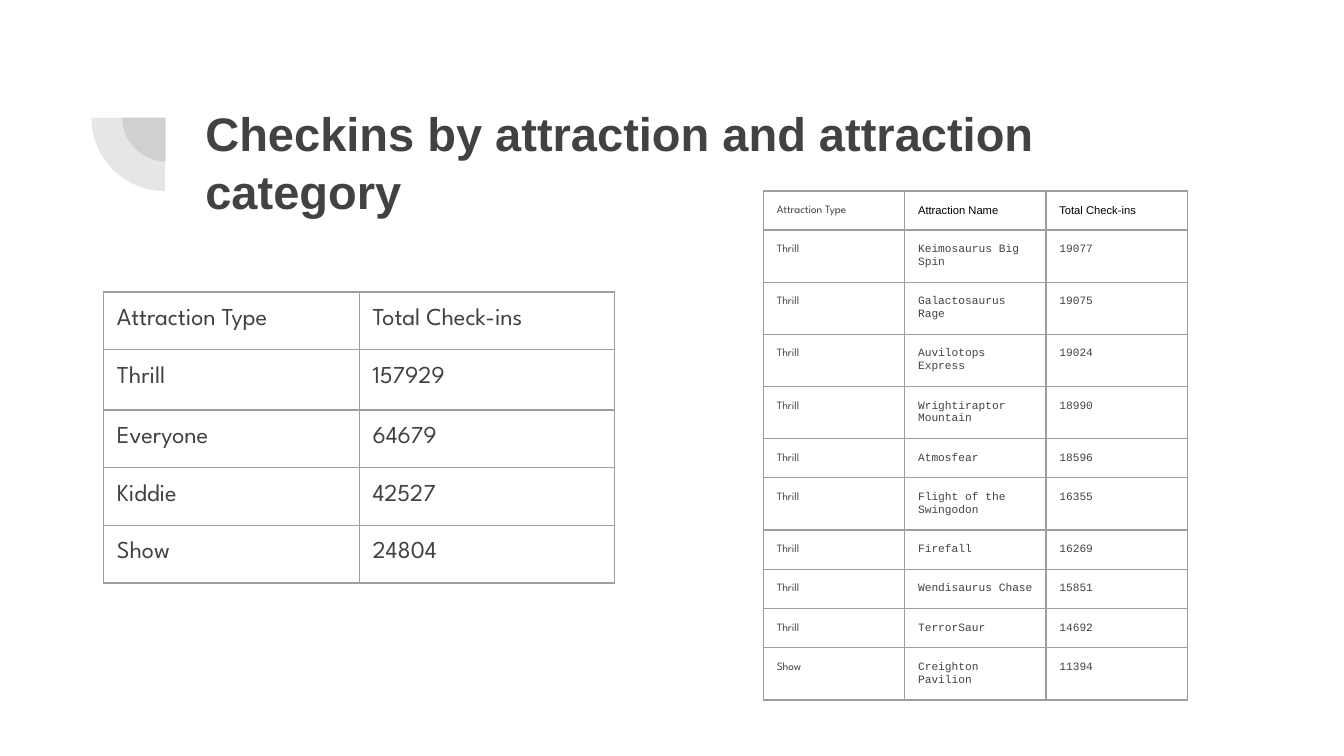
"""Build the slide of check-ins by attraction and attraction category."""
from lxml import etree
from pptx import Presentation
from pptx.dml.color import RGBColor
from pptx.enum.shapes import MSO_SHAPE as Shape
from pptx.enum.text import MSO_ANCHOR as Anchor, PP_ALIGN as Align
from pptx.oxml import parse_xml
from pptx.oxml.ns import nsdecls, qn
from pptx.util import Cm, Pt

GREY = RGBColor(0x42, 0x42, 0x42)
BLACK = RGBColor(0, 0, 0)
BORDER = RGBColor(0x9E, 0x9E, 0x9E)
INSET = Cm(0.25)

TITLE = "Checkins by attraction and attraction category"
PIES = [(2.31, 1.40, 1.65), (1.73, 0.84, 2.77)]

CATEGORIES = [
    ("Attraction Type", "Total Check-ins"),
    ("Thrill", "157929"),
    ("Everyone", "64679"),
    ("Kiddie", "42527"),
    ("Show", "24804"),
]
ATTRACTIONS = [
    ("Attraction Type", "Attraction Name", "Total Check-ins"),
    ("Thrill", "Keimosaurus Big Spin", "19077"),
    ("Thrill", "Galactosaurus Rage", "19075"),
    ("Thrill", "Auvilotops Express", "19024"),
    ("Thrill", "Wrightiraptor Mountain", "18990"),
    ("Thrill", "Atmosfear", "18596"),
    ("Thrill", "Flight of the Swingodon", "16355"),
    ("Thrill", "Firefall", "16269"),
    ("Thrill", "Wendisaurus Chase", "15851"),
    ("Thrill", "TerrorSaur", "14692"),
    ("Show", "Creighton Pavilion", "11394"),
]

SPACED = {"line_spacing": 1.15, "space_after": Pt(12)}
SPARTAN = ("League Spartan", GREY, SPACED)
COURIER = ("Courier New", GREY, {})
ARIAL = ("Arial", BLACK, {})


def category_style(row, column):
    return SPARTAN


def attraction_style(row, column):
    if column == 0:
        return SPARTAN
    return COURIER if row else ARIAL


TABLES = [
    {"content": CATEGORIES, "left": 1.96, "top": 5.52, "column": 4.83,
     "heights": [1.09, 1.14, 1.09, 1.09, 1.09], "size": 13, "style": category_style},
    {"content": ATTRACTIONS, "left": 14.43, "top": 3.61, "column": 2.67,
     "heights": [0.69, 0.86, 0.66, 0.66, 0.86, 0.66, 0.86] + [0.66] * 4,
     "size": 6, "style": attraction_style},
]


def assign(target, values):
    for name, value in values.items():
        setattr(target, name, value)


def set_borders(cell):
    properties = cell._tc.get_or_add_tcPr()
    for side in ("lnL", "lnR", "lnT", "lnB"):
        properties.append(parse_xml(
            f'<a:{side} {nsdecls("a")} w="{Pt(0.75)}"><a:solidFill>'
            f'<a:srgbClr val="{BORDER}"/></a:solidFill></a:{side}>'))


def add_pie(slide, left, top, size):
    pie = slide.shapes.add_shape(Shape.PIE, Cm(left), Cm(top), Cm(size), Cm(size))
    pie.adjustments[0], pie.adjustments[1] = 107.93, 162
    pie.rotation = 270
    pie.shadow.inherit = False
    pie.line.fill.background()
    pie.fill.solid()
    pie.fill.fore_color.rgb = GREY
    color = pie._element.spPr.find(qn("a:solidFill"))[0]
    etree.SubElement(color, qn("a:alpha")).set("val", "13000")
    slide.shapes.title._element.addprevious(pie._element)


def format_title(title):
    assign(title, {"left": Cm(3.63), "top": Cm(1.65), "width": Cm(19.53), "height": Cm(2.77)})
    frame = title.text_frame
    frame.text = TITLE
    assign(frame, {"word_wrap": True, "vertical_anchor": Anchor.MIDDLE,
                   "margin_left": INSET, "margin_right": INSET,
                   "margin_top": INSET, "margin_bottom": INSET})
    paragraph = frame.paragraphs[0]
    assign(paragraph, {"alignment": Align.LEFT, "line_spacing": 1.04})
    font = paragraph.runs[0].font
    assign(font, {"name": "Arial", "size": Pt(25.2), "bold": True})
    font.color.rgb = GREY


def fill_cell(cell, text, size, style):
    name, color, spacing = style
    assign(cell, {"text": text, "margin_left": INSET, "margin_right": INSET,
                  "margin_top": INSET, "margin_bottom": INSET})
    set_borders(cell)
    cell.fill.background()
    paragraph = cell.text_frame.paragraphs[0]
    assign(paragraph, spacing)
    font = paragraph.runs[0].font
    assign(font, {"name": name, "size": Pt(size), "bold": False})
    font.color.rgb = color


def add_checkins(slide, content, left, top, column, heights, size, style):
    count = len(content[0])
    table = slide.shapes.add_table(len(content), count, Cm(left), Cm(top),
                                   Cm(column * count), Cm(sum(heights))).table
    assign(table, {"first_row": False, "horz_banding": False})
    for table_column in table.columns:
        table_column.width = Cm(column)
    for r, (texts, height) in enumerate(zip(content, heights)):
        table.rows[r].height = Cm(height)
        for c, text in enumerate(texts):
            fill_cell(table.cell(r, c), text, size, style(r, c))


def main():
    deck = Presentation()
    assign(deck, {"slide_width": Cm(25.4), "slide_height": Cm(14.29)})
    slide = deck.slides.add_slide(deck.slide_layouts[5])
    format_title(slide.shapes.title)
    for pie in PIES:
        add_pie(slide, *pie)
    for table in TABLES:
        add_checkins(slide, **table)
    deck.save("out.pptx")


if __name__ == "__main__":
    main()
